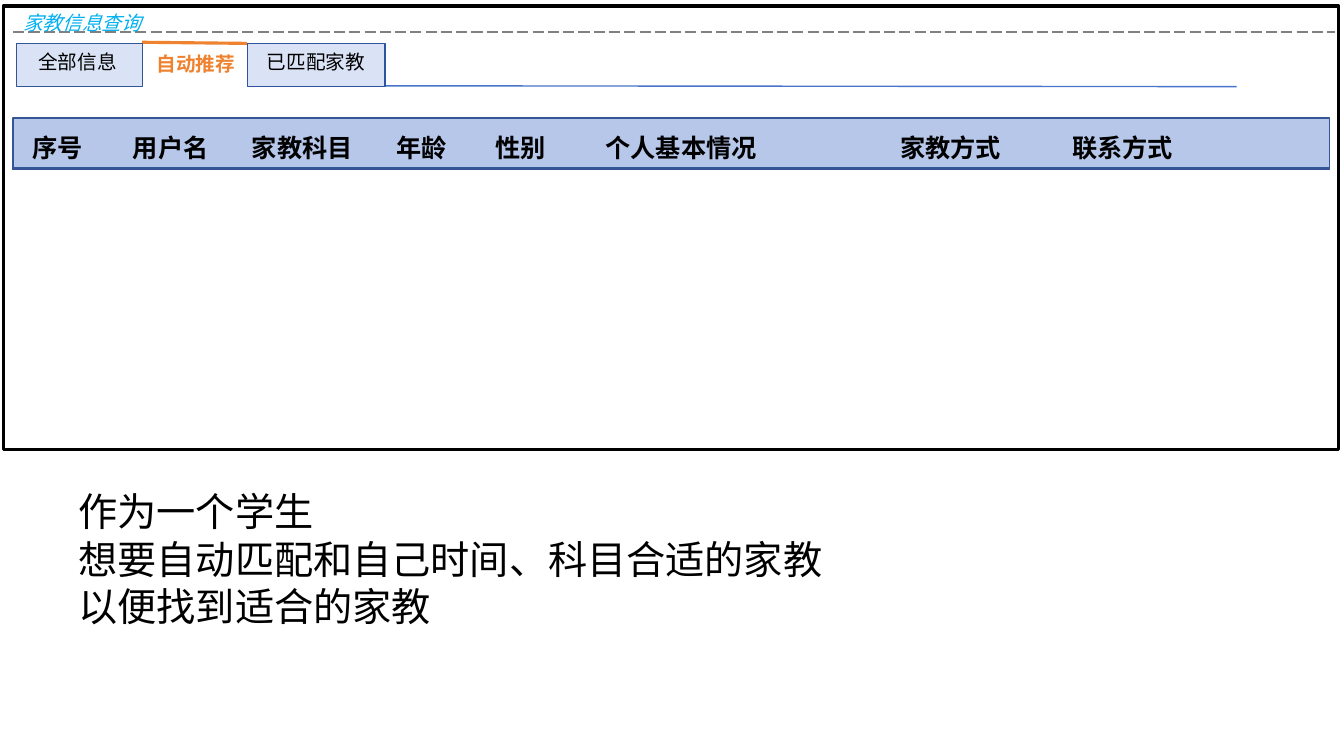
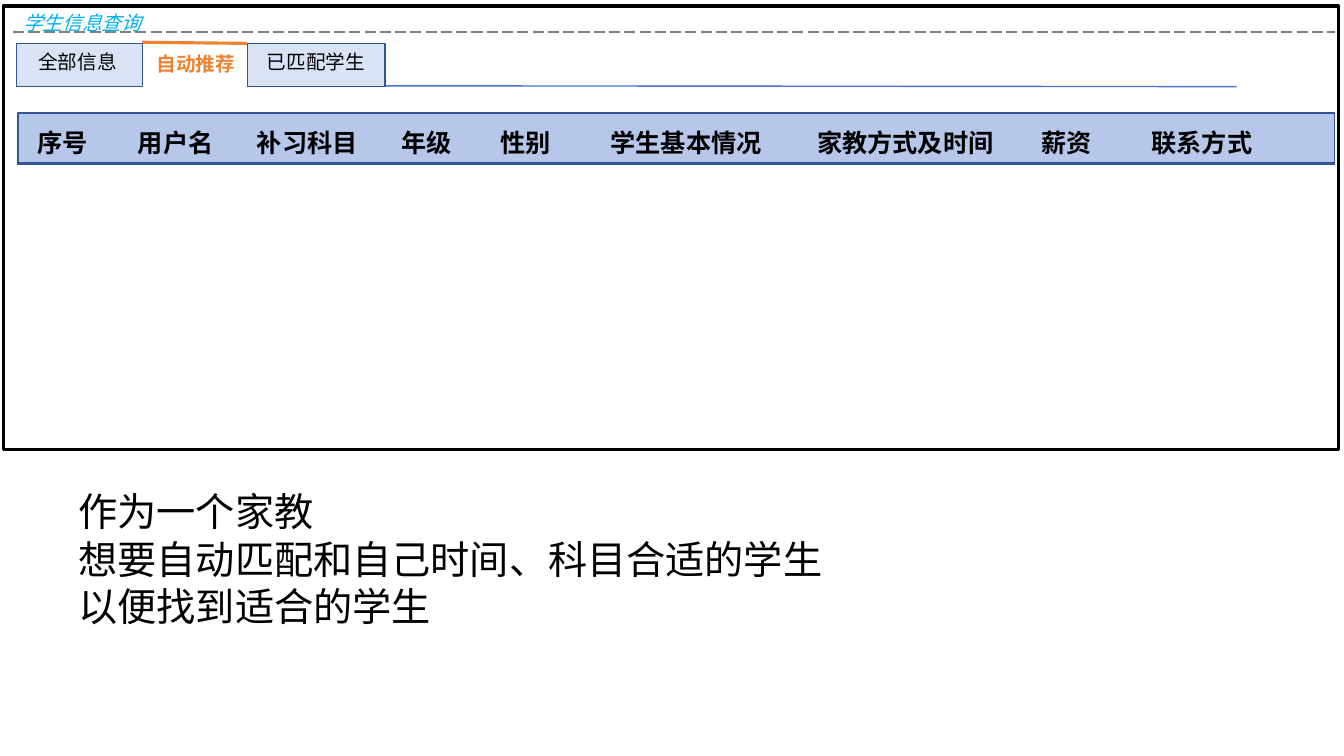
from lxml import etree
from pptx import Presentation
from pptx.dml.color import RGBColor
from pptx.enum.dml import MSO_LINE
from pptx.enum.shapes import MSO_CONNECTOR, MSO_SHAPE
from pptx.enum.text import MSO_ANCHOR, MSO_AUTO_SIZE as FIT, PP_ALIGN
from pptx.oxml.ns import qn
from pptx.util import Pt

# Shared style
FONT = "Noto Sans CJK SC"
BLACK, WHITE, GREY = "000000", "FFFFFF", "808080"
CYAN, ORANGE, BLUE = "00B0F0", "EE822F", "4874CB"
NAVY, TAB_EDGE, TAB_FILL, HEADER_FILL = "355696", "2E54A1", "DAE3F5", "B6C7EA"

# Left offset and width of the columns both table headers share
COMMON_COLUMNS = [(6.5, 78), (78.5, 78), (163.5, 92), (266.5, 78), (337.5, 78), (416, 171)]


def color(value):
    return RGBColor.from_string(value)


class Mockup:
    """Holds the deck, its style and the slide being drawn."""

    def __init__(self):
        self.deck = Presentation()
        self.deck.slide_width, self.deck.slide_height = Pt(960), Pt(540)
        self.page = None

    def new_page(self):
        self.page = self.deck.slides.add_slide(self.deck.slide_layouts[5])

    def fill_text(self, box, lines, size, ink=BLACK, bold=False, italic=False, fit=FIT.NONE):
        frame = box.text_frame
        frame.word_wrap, frame.auto_size = True, fit
        frame.vertical_anchor = MSO_ANCHOR.TOP
        frame.margin_left = frame.margin_right = Pt(7.2)
        frame.margin_top = frame.margin_bottom = Pt(3.6)
        for index, line in enumerate(lines):
            para = frame.add_paragraph() if index else frame.paragraphs[0]
            para.alignment = PP_ALIGN.LEFT
            span = para.add_run()
            span.text = line
            font = span.font
            font.name, font.size, font.bold, font.italic = FONT, Pt(size), bold, italic
            font.color.rgb = color(ink)
            east_asian = etree.SubElement(span._r.get_or_add_rPr(), qn("a:ea"))
            east_asian.set("typeface", FONT)

    def title(self, text):
        box = self.page.shapes.title
        box.left, box.top, box.width, box.height = Pt(9.4), Pt(4.3), Pt(114), Pt(24.5)
        self.fill_text(box, [text], 14, CYAN, italic=True)
        # Keep the title in front of the window frame
        self.page.shapes._spTree.append(box._element)

    def text(self, left, top, width, height, lines, size, **style):
        box = self.page.shapes.add_textbox(Pt(left), Pt(top), Pt(width), Pt(height))
        self.fill_text(box, lines, size, **style)

    def label(self, left, top, width, text, size=14, **style):
        self.text(left, top, width, size + 10.5, [text], size,
                  fit=FIT.SHAPE_TO_FIT_TEXT, **style)

    def rect(self, left, top, width, height, fill, edge, weight=1):
        box = self.page.shapes.add_shape(
            MSO_SHAPE.RECTANGLE, Pt(left), Pt(top), Pt(width), Pt(height))
        box.shadow.inherit = False
        box.fill.solid()
        box.fill.fore_color.rgb = color(fill)
        box.line.color.rgb = color(edge)
        box.line.width = Pt(weight)

    def line(self, x1, y1, x2, y2, ink, weight=1, dash=None):
        rule = self.page.shapes.add_connector(
            MSO_CONNECTOR.STRAIGHT, Pt(x1), Pt(y1), Pt(x2), Pt(y2))
        rule.line.color.rgb = color(ink)
        rule.line.width = Pt(weight)
        if dash:
            rule.line.dash_style = dash
        etree.SubElement(rule._element.spPr, qn("a:effectLst"))

    def window(self, title):
        self.rect(2.2, 4.3, 954, 316.8, WHITE, BLACK, 2.25)
        self.line(9.4, 23, 953.3, 23, GREY, dash=MSO_LINE.LONG_DASH)
        self.title(title)

    def tabs(self, matched):
        self.line(101.5, 30.2, 176.4, 31, ORANGE, 2.25)
        self.rect(12, 31, 90, 31, TAB_FILL, NAVY)
        self.label(20.2, 32.4, 110, "全部信息")
        self.line(177, 61.2, 883.4, 61.9, BLUE)
        self.rect(177, 31, 98, 31, TAB_FILL, TAB_EDGE)
        self.label(104.7, 33.8, 97, "自动推荐", ink=ORANGE, bold=True)
        self.label(183.6, 32.4, 97, matched)

    def table_header(self, left, top, names, columns):
        self.rect(left, top, 940.3, 36.7, HEADER_FILL, NAVY)
        self.line(left - 0.7, top + 36, left + 939.6, top + 36, NAVY, 2.25)
        for name, (offset, width) in zip(names, columns):
            self.label(left + offset, top + 6.8, width, name, 18, bold=True)

    def story(self, lines):
        self.text(49, 344.9, 731, 132.5, lines, 28)


def main():
    mockup = Mockup()
    screens = [
        # Student looking for a tutor
        dict(title="家教信息查询", matched="已匹配家教", role="学生", target="家教",
             corner=(9.4, 84.2),
             names=["序号", "用户名", "家教科目", "年龄", "性别", "个人基本情况",
                    "家教方式", "联系方式"],
             columns=[(626.5, 103), (749.5, 116)]),
        # Tutor looking for a student
        dict(title="学生信息查询", matched="已匹配学生", role="家教", target="学生",
             corner=(13, 80.7),
             names=["序号", "用户名", "补习科目", "年级", "性别", "学生基本情况",
                    "家教方式及时间", "薪资", "联系方式"],
             columns=[(563.5, 143), (723.5, 85), (802.5, 138)]),
    ]
    for screen in screens:
        mockup.new_page()
        mockup.window(screen["title"])
        mockup.tabs(screen["matched"])
        mockup.table_header(*screen["corner"], screen["names"],
                            COMMON_COLUMNS + screen["columns"])
        mockup.story([f"作为一个{screen['role']}",
                      f"想要自动匹配和自己时间、科目合适的{screen['target']}",
                      f"以便找到适合的{screen['target']}"])
    mockup.deck.save("out.pptx")


if __name__ == "__main__":
    main()
